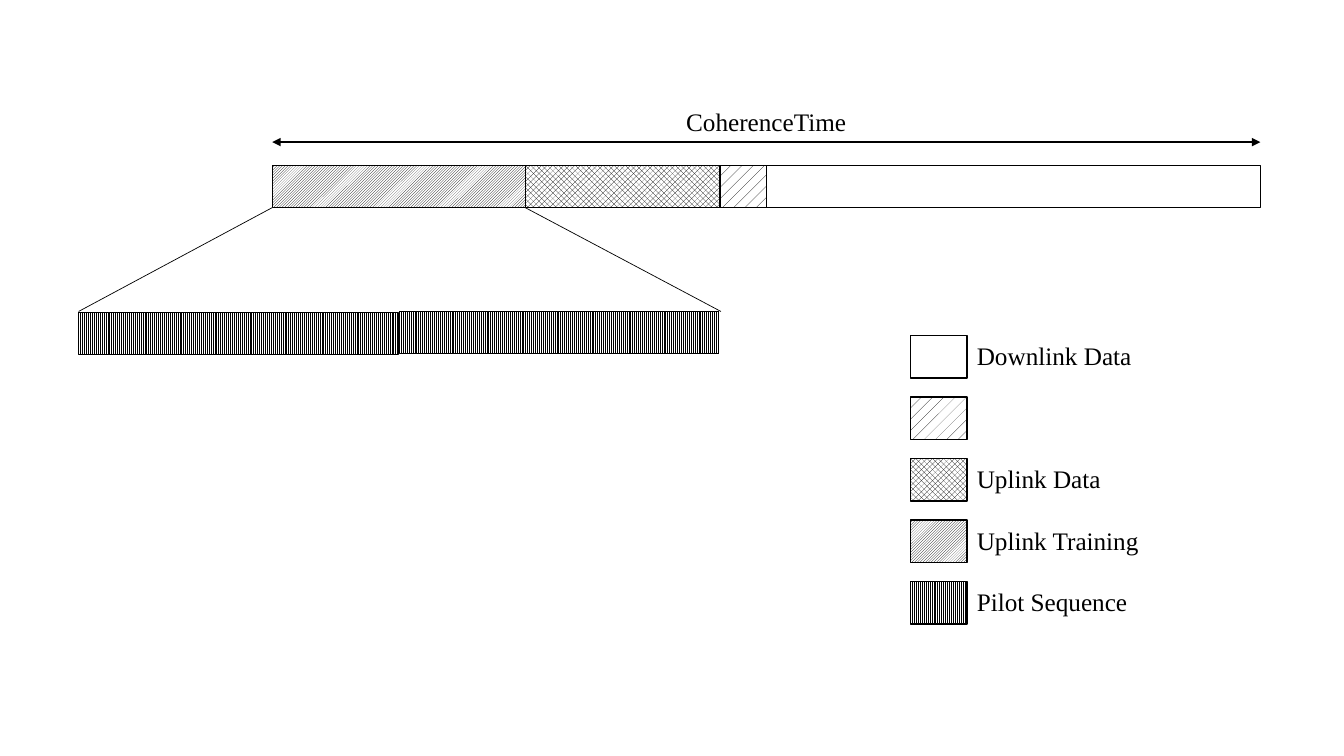
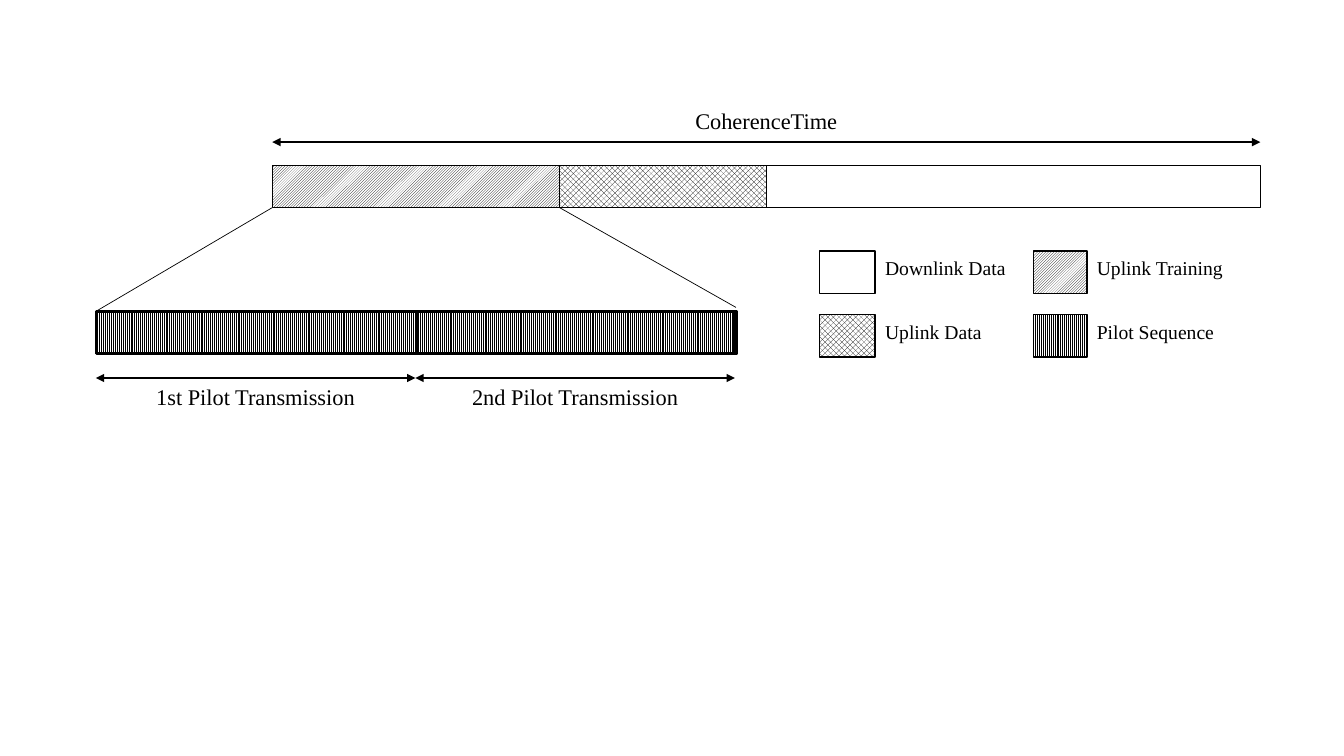
"""Build two slides showing how a coherence interval is divided."""
from lxml import etree
from pptx import Presentation
from pptx.dml.color import RGBColor
from pptx.enum.dml import MSO_PATTERN
from pptx.enum.shapes import MSO_CONNECTOR, MSO_SHAPE
from pptx.enum.text import PP_ALIGN
from pptx.oxml.ns import qn
from pptx.util import Inches, Pt

BLACK = RGBColor(0x00, 0x00, 0x00)
WHITE = RGBColor(0xFF, 0xFF, 0xFF)
FONT = "Times New Roman"
RECT = MSO_SHAPE.RECTANGLE
STRAIGHT = MSO_CONNECTOR.STRAIGHT
LEFT, CENTER = PP_ALIGN.LEFT, PP_ALIGN.CENTER
TRAINING = MSO_PATTERN.LIGHT_UPWARD_DIAGONAL
UPLINK = MSO_PATTERN.OUTLINED_DIAMOND
GAP = MSO_PATTERN.PERCENT_10
PILOT = MSO_PATTERN.LIGHT_VERTICAL
DOWNLINK = None

BAR_H = 0.42
BAR_TOP = 1.64
BAR_LEFT, BAR_RIGHT = 2.7, 12.5
PILOT_TOP = 3.09
PILOT_W = 3.17


class Deck:
    """Holds the presentation, its style and the current slide."""

    def __init__(self):
        self.prs = Presentation()
        self.prs.slide_width = Inches(13.33)
        self.prs.slide_height = Inches(7.5)
        self.s = None

    def slide(self):
        """Start a blank slide."""
        self.s = self.prs.slides.add_slide(self.prs.slide_layouts[6])

    def box(self, x, y, w, pattern=None, weight=1):
        """Add a bar segment, hatched when a pattern is given."""
        sp = self.s.shapes.add_shape(
            RECT, Inches(x), Inches(y), Inches(w), Inches(BAR_H))
        sp.shadow.inherit = False
        sp.line.color.rgb = BLACK
        sp.line.width = Pt(weight)
        if pattern is None:
            sp.fill.background()
        else:
            sp.fill.patterned()
            sp.fill.pattern = pattern
            sp.fill.fore_color.rgb = BLACK
            sp.fill.back_color.rgb = WHITE

    def text(self, x, y, w, words, size, align=LEFT):
        """Add one line of text."""
        tb = self.s.shapes.add_textbox(
            Inches(x), Inches(y), Inches(w), Inches(0.1 + size / 60))
        tf = tb.text_frame
        tf.word_wrap = True
        p = tf.paragraphs[0]
        p.text = words
        p.alignment = align
        p.font.name = FONT
        p.font.size = Pt(size)
        p.font.color.rgb = BLACK

    def line(self, x1, y1, x2, y2, weight=0.5, arrows=False):
        """Add a straight line, with arrowheads at both ends if asked."""
        c = self.s.shapes.add_connector(
            STRAIGHT, Inches(x1), Inches(y1), Inches(x2), Inches(y2))
        c.line.color.rgb = BLACK
        c.line.width = Pt(weight)
        spPr = c._element.spPr
        if arrows:
            for end in ("a:headEnd", "a:tailEnd"):
                etree.SubElement(spPr.find(qn("a:ln")), qn(end), type="triangle")
        etree.SubElement(spPr, qn("a:effectLst"))

    def span(self, x1, x2, y):
        """Add a horizontal double-headed arrow."""
        self.line(x1, y, x2, y, 1.5, True)

    def timeline(self, segments, size):
        """Add the coherence bar from (right edge, pattern) pairs."""
        x = BAR_LEFT
        for right, pattern in segments:
            self.box(x, BAR_TOP, right - x, pattern)
            x = right
        self.span(BAR_LEFT, BAR_RIGHT, 1.41)
        self.text(BAR_LEFT, 1.01, BAR_RIGHT - BAR_LEFT, "CoherenceTime", size, CENTER)

    def zoom(self, split, left, right, bottom):
        """Add the two lines that open training out into pilots."""
        top = BAR_TOP + BAR_H
        self.line(BAR_LEFT, top, left, PILOT_TOP)
        self.line(split, top, right, bottom)

    def key(self, x, y, w, pattern, label, size):
        """Add a legend swatch and its label."""
        self.box(x, y, w, pattern)
        if label:
            self.text(x + w, y, 2.3, label, size)


deck = Deck()

deck.slide()
deck.timeline([(5.21, TRAINING), (7.14, UPLINK), (7.6, GAP), (BAR_RIGHT, DOWNLINK)], 18)
deck.box(3.96, PILOT_TOP, PILOT_W, PILOT)
deck.box(0.78, PILOT_TOP + 0.01, PILOT_W, PILOT)
deck.zoom(5.21, 0.78, 7.15, PILOT_TOP)
legend = [(DOWNLINK, "Downlink Data"), (GAP, ""), (UPLINK, "Uplink Data"),
          (TRAINING, "Uplink Training"), (PILOT, "Pilot Sequence")]
for row, (pattern, label) in enumerate(legend):
    deck.key(9.03, 3.33 + 0.61 * row, 0.56, pattern, label, 18)

deck.slide()
deck.timeline([(5.55, TRAINING), (7.6, UPLINK), (BAR_RIGHT, DOWNLINK)], 16)
pilot_left = 0.95
deck.box(pilot_left, PILOT_TOP, 2 * PILOT_W, PILOT)
deck.zoom(5.55, pilot_left, 7.3, 3.05)
for i, ordinal in enumerate(("1st", "2nd")):
    x = pilot_left + PILOT_W * i
    deck.span(x, x + PILOT_W, 3.75)
    deck.text(x, 3.75, PILOT_W, f"{ordinal} Pilot Transmission", 16, CENTER)
    deck.box(x + 0.01, PILOT_TOP, PILOT_W, weight=2.25)
columns = [(8.13, 0.55, [(DOWNLINK, "Downlink Data"), (UPLINK, "Uplink Data")]),
           (10.25, 0.53, [(TRAINING, "Uplink Training"), (PILOT, "Pilot Sequence")])]
for x, w, entries in columns:
    for row, (pattern, label) in enumerate(entries):
        deck.key(x, 2.49 + 0.63 * row, w, pattern, label, 14)

deck.prs.save("out.pptx")
